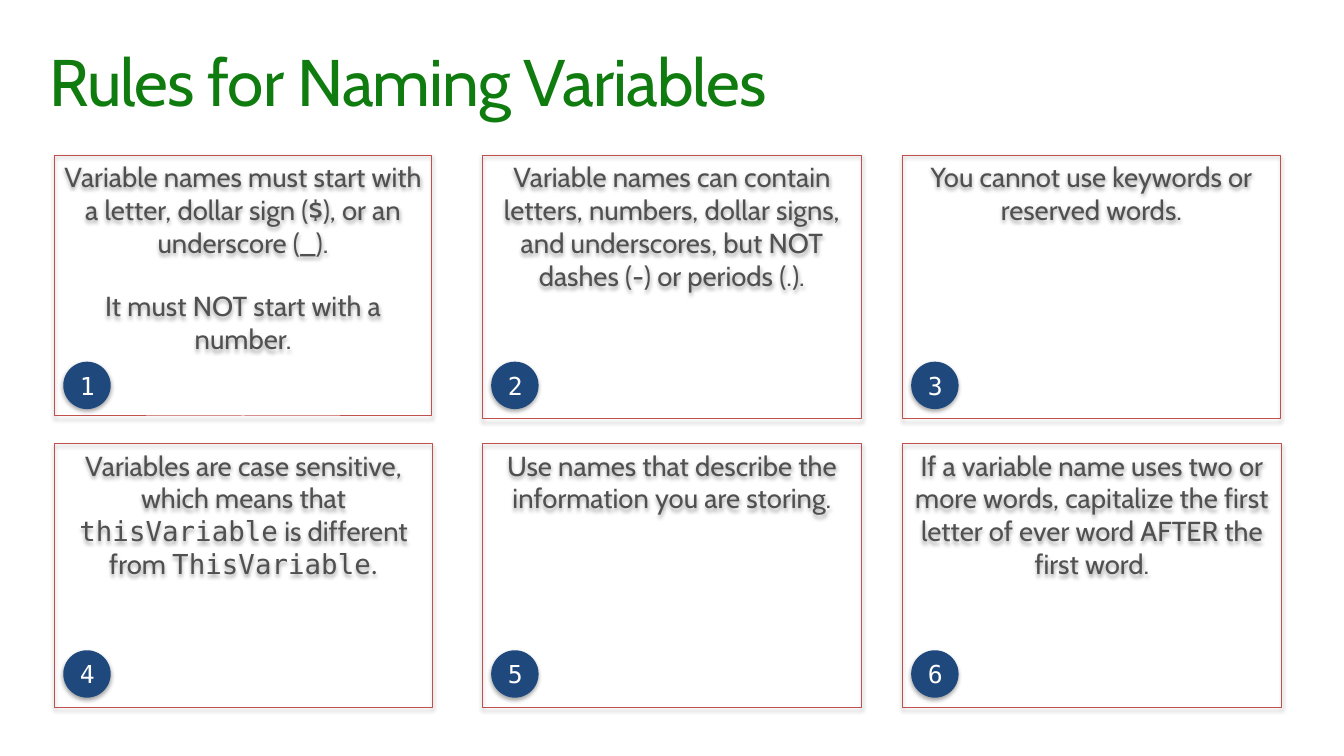
import lxml.etree
import pptx
import pptx.dml.color
import pptx.enum.shapes
import pptx.enum.text
import pptx.oxml.ns
import pptx.util

PX = 9144
SHAPE = pptx.enum.shapes.MSO_SHAPE
ALIGN = pptx.enum.text.PP_ALIGN
ANCHOR = pptx.enum.text.MSO_ANCHOR
qn = pptx.oxml.ns.qn

GREEN = pptx.dml.color.RGBColor(0x10, 0x7C, 0x10)
RED = pptx.dml.color.RGBColor(0xC0, 0x50, 0x4D)
NAVY = pptx.dml.color.RGBColor(0x1F, 0x49, 0x7D)
GRAY = pptx.dml.color.RGBColor(0x50, 0x50, 0x50)
WHITE = pptx.dml.color.RGBColor(0xFF, 0xFF, 0xFF)

SANS = "Cabin"
MONO = "DejaVu Sans Mono"

COLUMNS = [55, 488, 913]
ROWS = [157, 449]
BADGE = 48
RULES = [
    (382, 264, [
        [("Variable names must start with a letter, dollar sign ($), or an underscore (_).", SANS)],
        [("It must NOT start with a number.", SANS)],
    ]),
    (384, 267, [[("Variable names can contain letters, numbers, dollar signs, and underscores, "
                  "but NOT dashes (-) or periods (.).", SANS)]]),
    (383, 267, [[("You cannot use keywords or reserved words.", SANS)]]),
    (383, 267, [[
        ("Variables are case sensitive, which means that ", SANS),
        ("thisVariable", MONO),
        (" is different from ", SANS),
        ("ThisVariable", MONO),
        (".", "Calibri"),
    ]]),
    (384, 267, [[("Use names that describe the information you are storing.", SANS)]]),
    (384, 267, [[("If a variable name uses two or more words, capitalize the first letter "
                  "of ever word AFTER the first word.", SANS)]]),
]


def px(*lengths):
    return [pptx.util.Emu(length * PX) for length in lengths]


def add_run(p, text, font, size, color):
    r = p.add_run()
    r.text = text
    r.font.name = font
    r.font.size = pptx.util.Pt(size)
    r.font.color.rgb = color
    return r


def add_shadowed(s, kind, x, y, w, h, anchor):
    sp = s.shapes.add_shape(kind, *px(x, y, w, h))
    sp.shadow.inherit = False
    effects = sp.element.spPr.find(qn("a:effectLst"))
    shadow = lxml.etree.SubElement(effects, qn("a:outerShdw"), blurRad="40000",
                                   dist="23000", dir="5400000", rotWithShape="0")
    color = lxml.etree.SubElement(shadow, qn("a:srgbClr"), val="000000")
    lxml.etree.SubElement(color, qn("a:alpha"), val="35000")
    sp.text_frame.word_wrap = True
    sp.text_frame.vertical_anchor = anchor
    return sp


def add_title(s, x, y, w, h):
    tf = s.shapes.add_textbox(*px(x, y, w, h)).text_frame
    tf.word_wrap = True
    tf.margin_left, tf.margin_top, tf.margin_right, tf.margin_bottom = px(10, 10, 10, 10)
    p = tf.paragraphs[0]
    p.line_spacing = 0.9
    r = add_run(p, "Rules for Naming Variables", SANS, 48, GREEN)
    r.font.element.set("spc", "-70") if hasattr(r.font, "element") else r._r.get_or_add_rPr().set("spc", "-70")


def add_card(s, x, y, w, h, paragraphs):
    sp = add_shadowed(s, SHAPE.RECTANGLE, x, y, w, h, ANCHOR.TOP)
    sp.fill.background()
    sp.line.color.rgb = RED
    sp.line.width = pptx.util.Pt(0.75)
    tf = sp.text_frame
    for i, runs in enumerate(paragraphs):
        p = tf.add_paragraph() if i else tf.paragraphs[0]
        p.alignment = ALIGN.CENTER
        if i:
            p.space_before = pptx.util.Pt(22)
        for text, font in runs:
            add_run(p, text, font, 20, GRAY)


def add_badge(s, x, y, number):
    sp = add_shadowed(s, SHAPE.OVAL, x, y, BADGE, BADGE, ANCHOR.MIDDLE)
    sp.fill.solid()
    sp.fill.fore_color.rgb = NAVY
    sp.line.fill.background()
    p = sp.text_frame.paragraphs[0]
    p.alignment = ALIGN.CENTER
    add_run(p, str(number), MONO, 18, WHITE)


def add_rules(s):
    corners = [(x, y) for y in ROWS for x in COLUMNS]
    for (x, y), (w, h, paragraphs) in zip(corners, RULES):
        add_card(s, x, y, w, h, paragraphs)
    for number, (x, y) in enumerate(corners, 1):
        add_badge(s, x + 9, y + 209, number)


def main():
    prs = pptx.Presentation()
    prs.slide_width, prs.slide_height = px(1360, 765)
    s = prs.slides.add_slide(prs.slide_layouts[6])
    add_title(s, 40, 40, 1280, 100)
    add_rules(s)
    prs.save("out.pptx")


if __name__ == "__main__":
    main()
